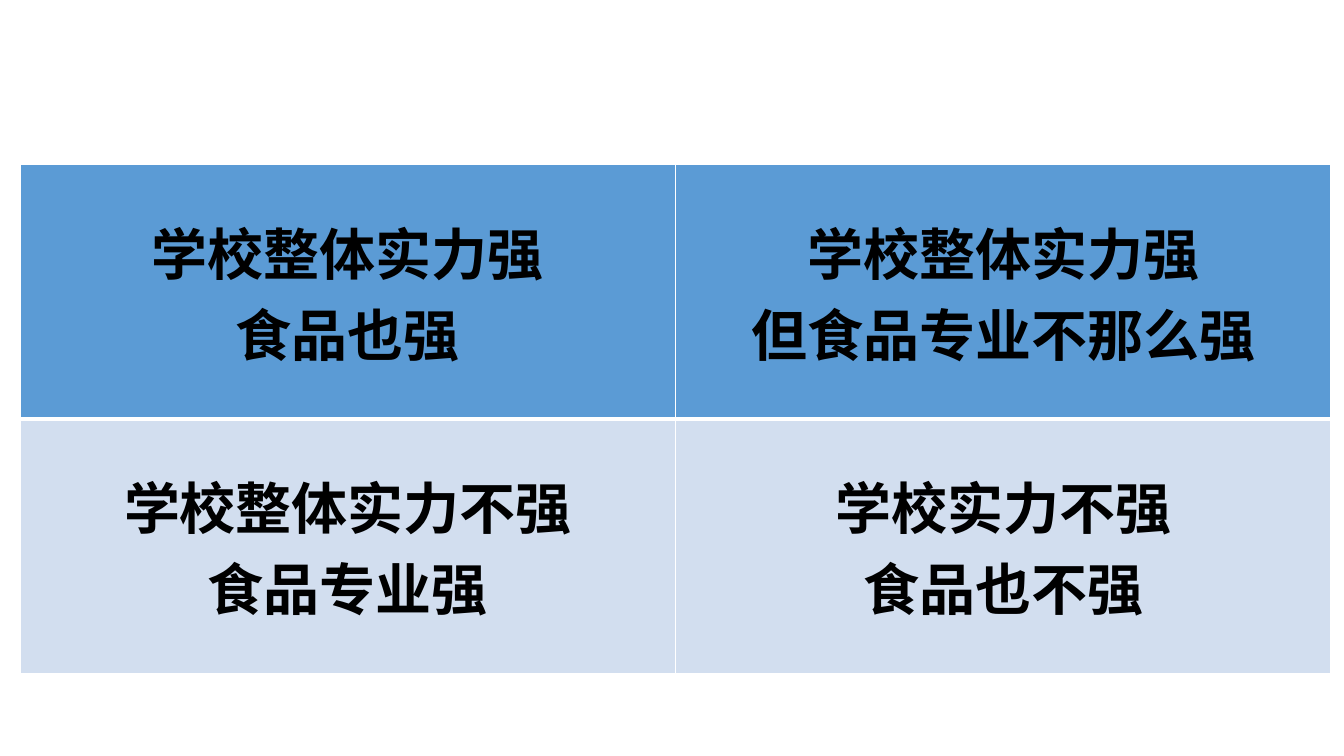
"""Build a two-by-two table slide comparing school and food-science strength."""
from lxml.etree import SubElement as Sub
from pptx import Presentation
from pptx.dml.color import RGBColor as Rgb
from pptx.enum.text import MSO_ANCHOR as Anchor, PP_ALIGN as Align
from pptx.oxml.ns import qn
from pptx.util import Inches, Pt

ROWS = [
    ["学校整体实力强\n食品也强", "学校整体实力强\n但食品专业不那么强"],
    ["学校整体实力不强\n食品专业强", "学校实力不强\n食品也不强"],
]
COLORS = {"text": "000000", "line": "FFFFFF", "fills": ["5B9BD5", "D2DEEF"]}
FONT = "Noto Sans CJK JP"
SIZE = 40
LEFT, TOP, WIDTH, HEIGHT = 0.2, 1.63, 13, 5.05
EDGES = [
    {"L": 1, "R": 1, "T": 1, "B": 3},
    {"L": 1, "R": 1, "T": 3, "B": 1},
]


def add_edges(cell, edges):
    """Draw the cell borders with the given widths in points."""
    props = cell._tc.get_or_add_tcPr()
    for side, width in edges.items():
        line = Sub(props, qn(f"a:ln{side}"), w=str(Pt(width)))
        fill = Sub(line, qn("a:solidFill"))
        Sub(fill, qn("a:srgbClr"), val=COLORS["line"])


def set_text(cell, text):
    """Write centred bold lines into the cell."""
    cell.text_frame.text = text
    cell.vertical_anchor = Anchor.MIDDLE
    for para in cell.text_frame.paragraphs:
        para.alignment = Align.CENTER
        for run in para.runs:
            font = run.font
            font.name, font.size, font.bold = FONT, Pt(SIZE), True
            font.color.rgb = Rgb.from_string(COLORS["text"])
            Sub(run._r.get_or_add_rPr(), qn("a:ea"), typeface=FONT)


def main():
    """Create the slide and save it."""
    deck = Presentation()
    deck.slide_width, deck.slide_height = Inches(13.33), Inches(7.5)
    slide = deck.slides.add_slide(deck.slide_layouts[6])
    box = [Inches(n) for n in (LEFT, TOP, WIDTH, HEIGHT)]
    table = slide.shapes.add_table(len(ROWS), len(ROWS[0]), *box).table
    for r, (row, shade, edges) in enumerate(zip(ROWS, COLORS["fills"], EDGES)):
        for c, text in enumerate(row):
            cell = table.cell(r, c)
            set_text(cell, text)
            add_edges(cell, edges)
            cell.fill.solid()
            cell.fill.fore_color.rgb = Rgb.from_string(shade)
    deck.save("out.pptx")


if __name__ == "__main__":
    main()
